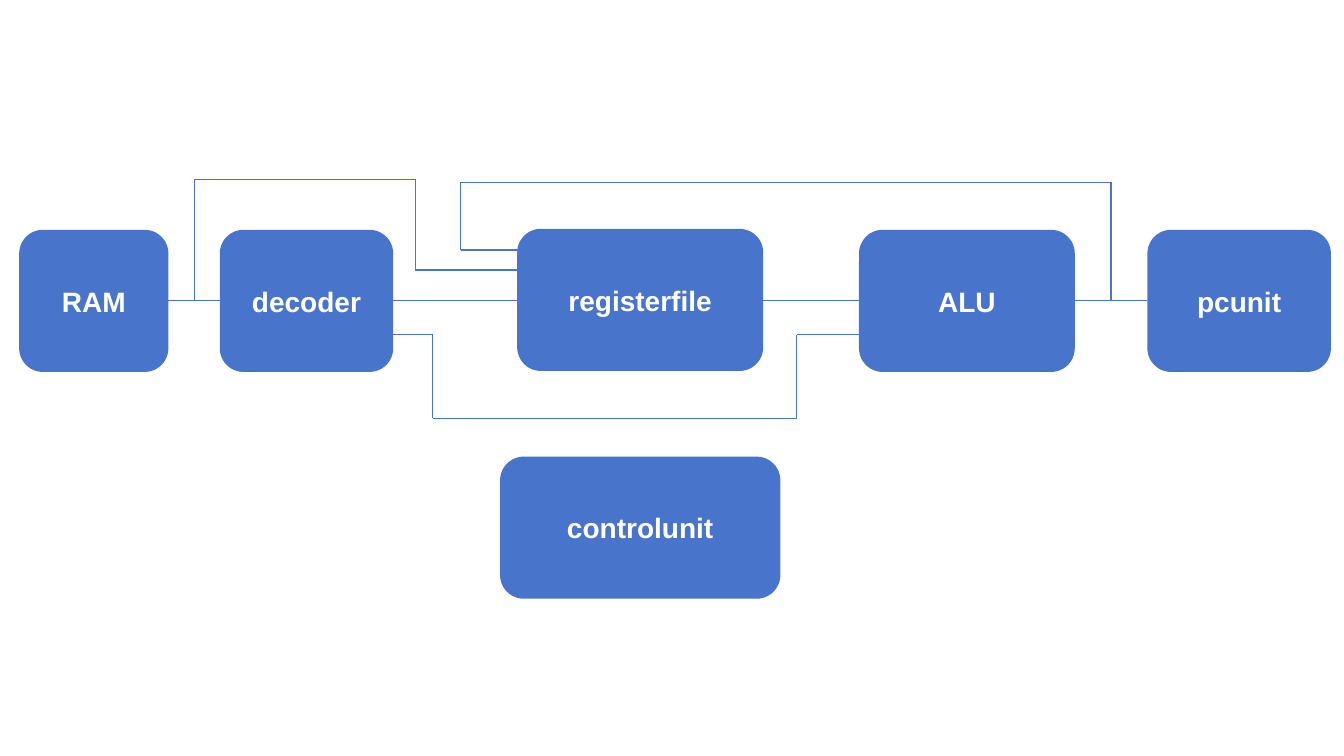
"""Draw a processor block diagram with its wiring on one slide."""
from itertools import pairwise

from lxml import etree
from pptx import Presentation
from pptx.dml.color import RGBColor
from pptx.enum.shapes import MSO_CONNECTOR, MSO_SHAPE
from pptx.enum.text import MSO_ANCHOR, PP_ALIGN
from pptx.oxml.ns import qn
from pptx.util import Inches, Pt

ROUNDED, STRAIGHT = MSO_SHAPE.ROUNDED_RECTANGLE, MSO_CONNECTOR.STRAIGHT
MIDDLE, CENTER = MSO_ANCHOR.MIDDLE, PP_ALIGN.CENTER
COLORS = {"blue": "4874CB", "white": "FFFFFF"}
COLS, ROWS = 1333, 750

prs = Presentation()
prs.slide_width, prs.slide_height = Inches(13.33), Inches(7.5)
col, row = prs.slide_width / COLS, prs.slide_height / ROWS
s = prs.slides.add_slide(prs.slide_layouts[6])


def write(sp, text, size=20, color="white", font="Arial", bold=True):
    tf = sp.text_frame
    tf.word_wrap = True
    tf.vertical_anchor = MIDDLE
    p = tf.paragraphs[0]
    p.alignment = CENTER
    r = p.add_run()
    r.text = text
    r.font.name, r.font.size, r.font.bold = font, Pt(size), bold
    r.font.color.rgb = RGBColor.from_string(COLORS[color])


BLOCK_ROWS = 141
BLOCKS = [
    ("RAM", 19, 228, 148),
    ("decoder", 218, 228, 172),
    ("registerfile", 513, 227, 244),
    ("ALU", 852, 228, 214),
    ("pcunit", 1138, 228, 182),
    ("controlunit", 496, 453, 278),
]
for name, left, top, width in BLOCKS:
    sp = s.shapes.add_shape(ROUNDED, round(left * col), round(top * row),
                            round(width * col), round(BLOCK_ROWS * row))
    sp.shadow.inherit = False
    sp.fill.solid()
    sp.fill.fore_color.rgb = RGBColor.from_string(COLORS["blue"])
    sp.line.fill.background()
    write(sp, name)

MAIN = 298
WIRES = [
    [(167, MAIN), (218, MAIN)],
    [(390, MAIN), (513, MAIN)],
    [(757, MAIN), (852, MAIN)],
    [(1066, MAIN), (1138, MAIN)],
    [(193, MAIN), (193, 178), (412, 178), (412, 268), (513, 268)],
    [(1102, MAIN), (1102, 181), (457, 181), (457, 248), (517, 248)],
    [(390, 332), (429, 332), (429, 415), (790, 415), (790, 332), (854, 332)],
]
for wire in WIRES:
    for (x1, y1), (x2, y2) in pairwise(wire):
        line = s.shapes.add_connector(STRAIGHT, round(x1 * col), round(y1 * row),
                                      round(x2 * col), round(y2 * row))
        line.line.width = Pt(1)
        line.line.color.rgb = RGBColor.from_string(COLORS["blue"])
        etree.SubElement(line._element.spPr, qn("a:effectLst"))

prs.save("out.pptx")
